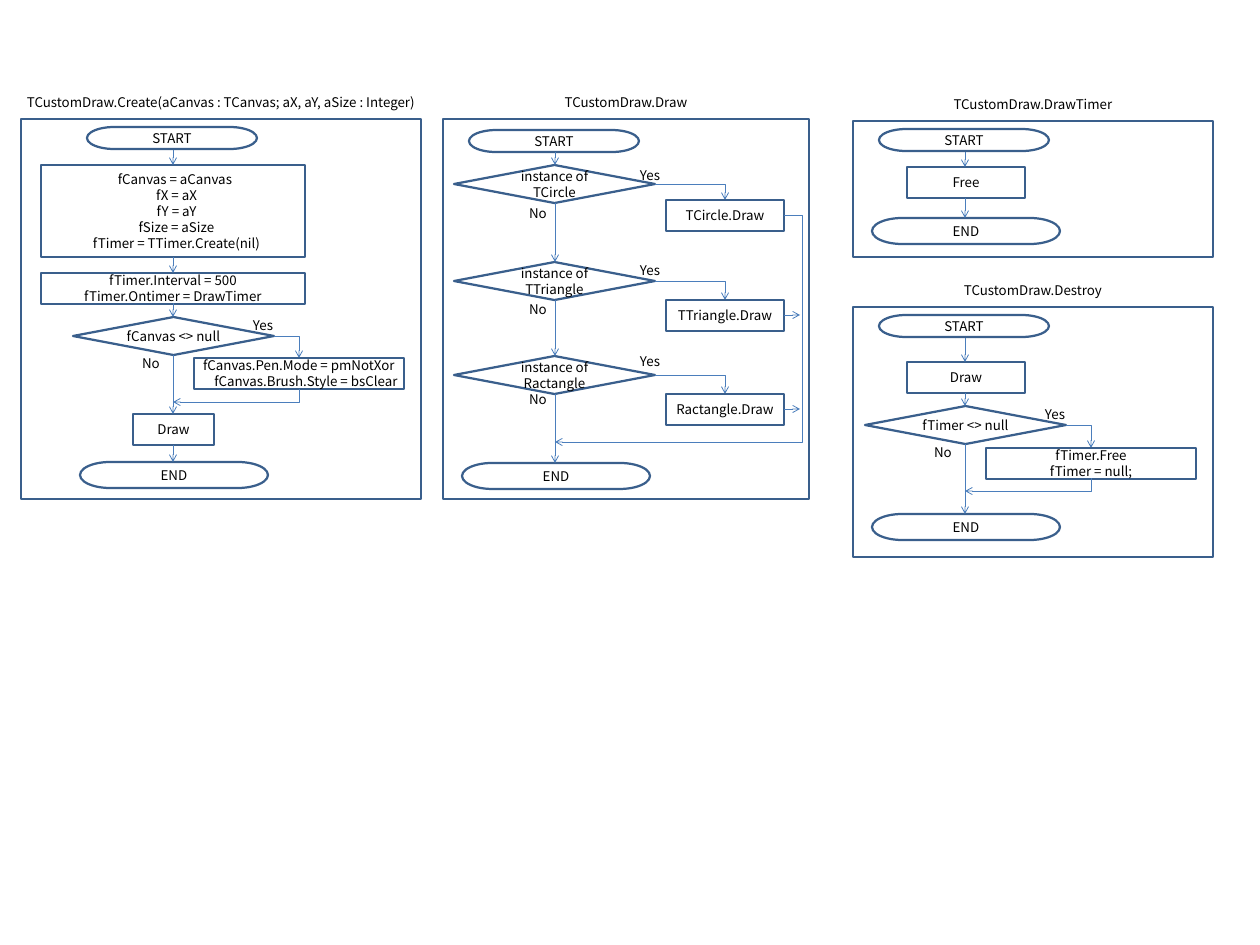
from pptx import Presentation
from pptx import util as u
from pptx.dml import color
from pptx.enum import shapes, text
from pptx.oxml import ns
from lxml import etree

PX = 11430
FONT = "Noto Sans CJK KR"
OUTLINE, ARROW, INK = "3A5F8C", "4B7EBC", "000000"
DIAMOND_W, DIAMOND_H = 201, 38
STEP_H = 31


def px(*lengths):
    return [u.Emu(round(length * PX)) for length in lengths]


def rgb(value):
    return color.RGBColor.from_string(value)


def write(shape, wording, align=text.PP_ALIGN.CENTER, anchor=text.MSO_ANCHOR.MIDDLE,
          size=12, ink=INK, inset=0, indents=()):
    frame = shape.text_frame
    frame.word_wrap = True
    frame.vertical_anchor = anchor
    frame.margin_left = frame.margin_right = 0
    frame.margin_top, frame.margin_bottom = px(inset, inset)
    frame.text = wording
    for paragraph in frame.paragraphs:
        paragraph.alignment = align
        for run in paragraph.runs:
            run.font.name, run.font.size = FONT, u.Pt(size)
            run.font.color.rgb = rgb(ink)
            fonts = run._r.get_or_add_rPr()
            etree.SubElement(fonts, ns.qn("a:ea")).set("typeface", FONT)
    for paragraph, indent in zip(frame.paragraphs, indents):
        properties = paragraph._p.get_or_add_pPr()
        properties.set("marL", str(indent * PX))
        properties.set("indent", "0")


def block(slide, kind, left, top, width, height, wording="", **style):
    shape = slide.shapes.add_shape(kind, *px(left, top, width, height))
    shape.shadow.inherit = False
    shape.fill.background()
    shape.line.color.rgb = rgb(OUTLINE)
    shape.line.width = u.Pt(2)
    if wording:
        write(shape, wording, **style)


def label(slide, wording, left, top, width, height, **style):
    write(slide.shapes.add_textbox(*px(left, top, width, height)), wording, **style)


def procedure(slide, caption, left, top, width, height):
    block(slide, shapes.MSO_SHAPE.RECTANGLE, left, top, width, height)
    label(slide, caption, left, top - 32, width, 30)


def start(slide, left, top):
    block(slide, shapes.MSO_SHAPE.FLOWCHART_TERMINATOR, left, top, 170, 22, "START")


def end(slide, left, top):
    block(slide, shapes.MSO_SHAPE.FLOWCHART_TERMINATOR, left, top, 188, 26, "END")


def step(slide, wording, left, top, width, height=STEP_H, **style):
    block(slide, shapes.MSO_SHAPE.RECTANGLE, left, top, width, height, wording, **style)


def arrow(slide, x1, y1, x2, y2, kind=shapes.MSO_CONNECTOR.STRAIGHT):
    link = slide.shapes.add_connector(kind, *px(x1, y1, x2, y2))
    link.line.color.rgb = rgb(ARROW)
    link.line.width = u.Pt(0.75)
    tail = etree.SubElement(link.line._get_or_add_ln(), ns.qn("a:tailEnd"))
    tail.set("type", "arrow")
    etree.SubElement(link._element.spPr, ns.qn("a:effectLst"))
    return link


def bend(slide, x1, y1, x2, y2, preset="bentConnector2", adjust=()):
    link = arrow(slide, x1, y1, x2, y2, shapes.MSO_CONNECTOR.ELBOW)
    geometry = link._element.spPr.find(ns.qn("a:prstGeom"))
    geometry.set("prst", preset)
    guides = geometry.find(ns.qn("a:avLst"))
    for number, share in enumerate(adjust, 1):
        guide = etree.SubElement(guides, ns.qn("a:gd"))
        guide.set("name", f"adj{number}")
        guide.set("fmla", f"val {round(share * 100000)}")
    return link


def rejoin(slide, x1, y1, x2, y2):
    across, down = x1 - x2, y2 - y1
    left, top = (x1 + x2 - down) / 2, (y1 + y2 - across) / 2
    link = bend(slide, left, top, left + down, top + across)
    link._element.spPr.find(ns.qn("a:xfrm")).set("rot", "5400000")


def flow(slide, x, *spans):
    for top, bottom in spans:
        arrow(slide, x, top, x, bottom)


def decision(slide, wording, left, top, branch_x, branch_y, yes=(180, 0), no=(69, 38)):
    block(slide, shapes.MSO_SHAPE.FLOWCHART_DECISION, left, top, DIAMOND_W, DIAMOND_H,
          wording, inset=1)
    for answer, (dx, dy), width in (("Yes", yes, 25), ("No", no, 19)):
        label(slide, answer, left + dx, top + dy, width, 11,
              align=text.PP_ALIGN.LEFT, anchor=text.MSO_ANCHOR.TOP)
    bend(slide, left + DIAMOND_W, top + DIAMOND_H // 2, branch_x, branch_y)


def create_chart(slide):
    procedure(slide, "TCustomDraw.Create(aCanvas : TCanvas; aX, aY, aSize : Integer)",
              21, 119, 400, 380)
    start(slide, 87, 127)
    step(slide, "fCanvas = aCanvas\nfX = aX\nfY = aY\nfSize = aSize\n"
         "fTimer = TTimer.Create(nil)", 41, 165, 264, 92, indents=(4, 7, 7, 7, 7))
    step(slide, "fTimer.Interval = 500\nfTimer.Ontimer = DrawTimer", 41, 273, 264)
    decision(slide, "fCanvas <> null", 73, 317, 299, 358)
    step(slide, "fCanvas.Pen.Mode = pmNotXor\nfCanvas.Brush.Style = bsClear",
         194, 358, 210, indents=(0, 14))
    step(slide, "Draw", 133, 414, 81)
    end(slide, 80, 462)
    flow(slide, 173, (150, 165), (257, 273), (303, 317), (355, 414), (445, 462))
    rejoin(slide, 299, 389, 173, 402)


def draw_chart(slide):
    procedure(slide, "TCustomDraw.Draw", 443, 119, 366, 380)
    start(slide, 469, 130)
    figures = (("TCircle", 165, 200, 2, 40), ("TTriangle", 262, 300, 0, 39),
               ("Ractangle", 356, 394, -3, 35))
    for figure, top, step_top, yes_dy, no_dy in figures:
        decision(slide, f"instance of {figure}", 454, top, 725, step_top,
                 yes=(186, yes_dy), no=(75, no_dy))
        step(slide, f"{figure}.Draw", 666, step_top, 118)
    for figure, top, step_top, yes_dy, no_dy in figures[1:]:
        arrow(slide, 784, step_top + 15, 800, step_top + 15)
    end(slide, 462, 463)
    flow(slide, 555, (152, 165), (203, 262), (300, 356), (394, 463))
    bend(slide, 784, 215, 555, 442, "bentConnector4", (-0.08, 1))


def timer_chart(slide):
    procedure(slide, "TCustomDraw.DrawTimer", 853, 121, 360, 136)
    start(slide, 879, 129)
    step(slide, "Free", 907, 167, 118)
    end(slide, 872, 218)
    flow(slide, 965, (152, 167), (198, 218))


def destroy_chart(slide):
    procedure(slide, "TCustomDraw.Destroy", 853, 307, 360, 250)
    start(slide, 879, 315)
    step(slide, "Draw", 907, 362, 118)
    decision(slide, "fTimer <> null", 865, 406, 1091, 448)
    step(slide, "fTimer.Free\nfTimer = null;", 986, 448, 210)
    end(slide, 872, 514)
    flow(slide, 965, (338, 362), (393, 406), (444, 514))
    rejoin(slide, 1091, 478, 965, 491)


def main():
    deck = Presentation()
    deck.slide_width, deck.slide_height = px(1260, 945)
    slide = deck.slides.add_slide(deck.slide_layouts[6])
    for chart in (create_chart, draw_chart, timer_chart, destroy_chart):
        chart(slide)
    deck.save("out.pptx")


if __name__ == "__main__":
    main()
